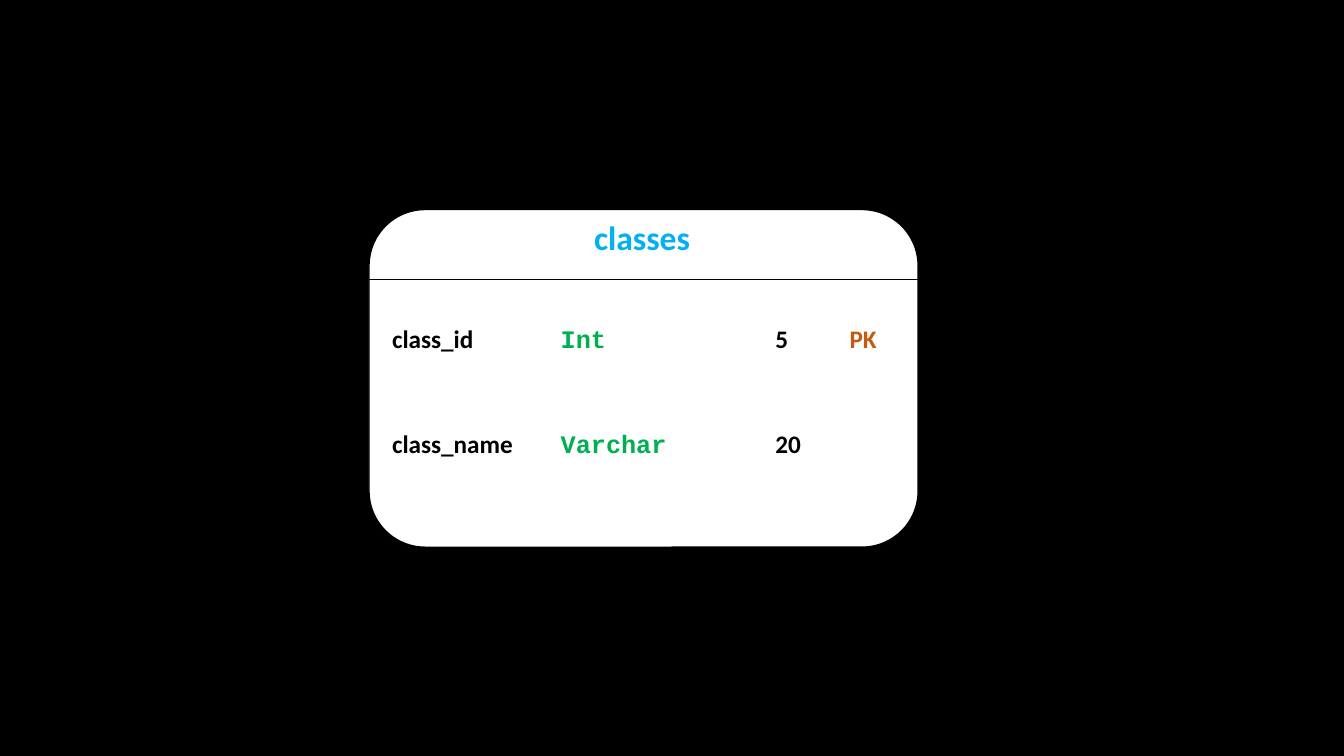
from dataclasses import dataclass

from lxml import etree
from pptx import Presentation
from pptx.dml.color import RGBColor
from pptx.enum.shapes import MSO_CONNECTOR, MSO_SHAPE
from pptx.enum.text import MSO_ANCHOR, MSO_AUTO_SIZE, PP_ALIGN
from pptx.oxml.ns import qn
from pptx.util import Cm, Pt

ROUND = MSO_SHAPE.ROUNDED_RECTANGLE
STRAIGHT = MSO_CONNECTOR.STRAIGHT
TOP = MSO_ANCHOR.TOP
GROW = MSO_AUTO_SIZE.SHAPE_TO_FIT_TEXT
LEFT, CENTER = PP_ALIGN.LEFT, PP_ALIGN.CENTER

COLORS = {
    "black": "000000",
    "white": "FFFFFF",
    "title": "00B0F0",
    "type": "00B050",
    "key": "C55A11",
}
TITLE_ONLY = 5
CARD_LEFT, CARD_TOP = 9.3, 5.28
CARD_WIDTH, CARD_HEIGHT = 13.84, 8.51
RULE_TOP, RULE_END = 7.04, 24.59
ROW_TOP, ROW_STEP = 8.03, 2.64


@dataclass
class Column:
    left: float
    width: float
    height: float = 1.19
    font: str = "Calibri"
    color: str = "black"


COLUMNS = [
    Column(9.63, 4.11, height=1.02),
    Column(13.88, 4.11, font="Courier New", color="type"),
    Column(19.29, 1.4),
    Column(21.16, 1.4, color="key"),
]
FIELDS = [
    ("class_id", "Int", "5", "PK"),
    ("class_name", "Varchar", "20"),
]


def rgb(name: str) -> RGBColor:
    return RGBColor.from_string(COLORS[name])


def write(shape, text: str, *, size=18, font="Calibri", color="black", align=LEFT) -> None:
    frame = shape.text_frame
    frame.word_wrap = True
    frame.auto_size = GROW
    frame.vertical_anchor = TOP
    line = frame.paragraphs[0]
    line.alignment = align
    run = line.add_run()
    run.text = text
    run.font.size = Pt(size)
    run.font.name = font
    run.font.bold = True
    run.font.color.rgb = rgb(color)


def draw_card(slide):
    card = slide.shapes.add_shape(
        ROUND, Cm(CARD_LEFT), Cm(CARD_TOP), Cm(CARD_WIDTH), Cm(CARD_HEIGHT))
    card.shadow.inherit = False
    card.fill.solid()
    card.fill.fore_color.rgb = rgb("white")
    card.line.color.rgb = rgb("black")
    card.line.width = Pt(1)
    return card


def draw_rule(slide) -> None:
    rule = slide.shapes.add_connector(
        STRAIGHT, Cm(CARD_LEFT), Cm(RULE_TOP), Cm(RULE_END), Cm(RULE_TOP))
    rule.line.color.rgb = rgb("black")
    rule.line.width = Pt(0.5)
    etree.SubElement(rule.element.spPr, qn("a:effectLst"))


def draw_title(slide, card) -> None:
    """Place the title placeholder in front of the card."""
    title = slide.shapes.title
    title.left, title.top = Cm(14.07), Cm(5.33)
    title.width, title.height = Cm(4.22), Cm(1.27)
    write(title, "classes", size=24, color="title", align=CENTER)
    card.element.addnext(title.element)


def draw_fields(slide) -> None:
    for row, field in enumerate(FIELDS):
        top = ROW_TOP + row * ROW_STEP
        for col, text in zip(COLUMNS, field):
            box = slide.shapes.add_textbox(
                Cm(col.left), Cm(top), Cm(col.width), Cm(col.height))
            write(box, text, font=col.font, color=col.color)


def main() -> None:
    deck = Presentation()
    deck.slide_width, deck.slide_height = Cm(33.87), Cm(19.05)
    slide = deck.slides.add_slide(deck.slide_layouts[TITLE_ONLY])
    back = slide.background.fill
    back.solid()
    back.fore_color.rgb = rgb("black")
    card = draw_card(slide)
    draw_title(slide, card)
    draw_rule(slide)
    draw_fields(slide)
    deck.save("out.pptx")


if __name__ == "__main__":
    main()
